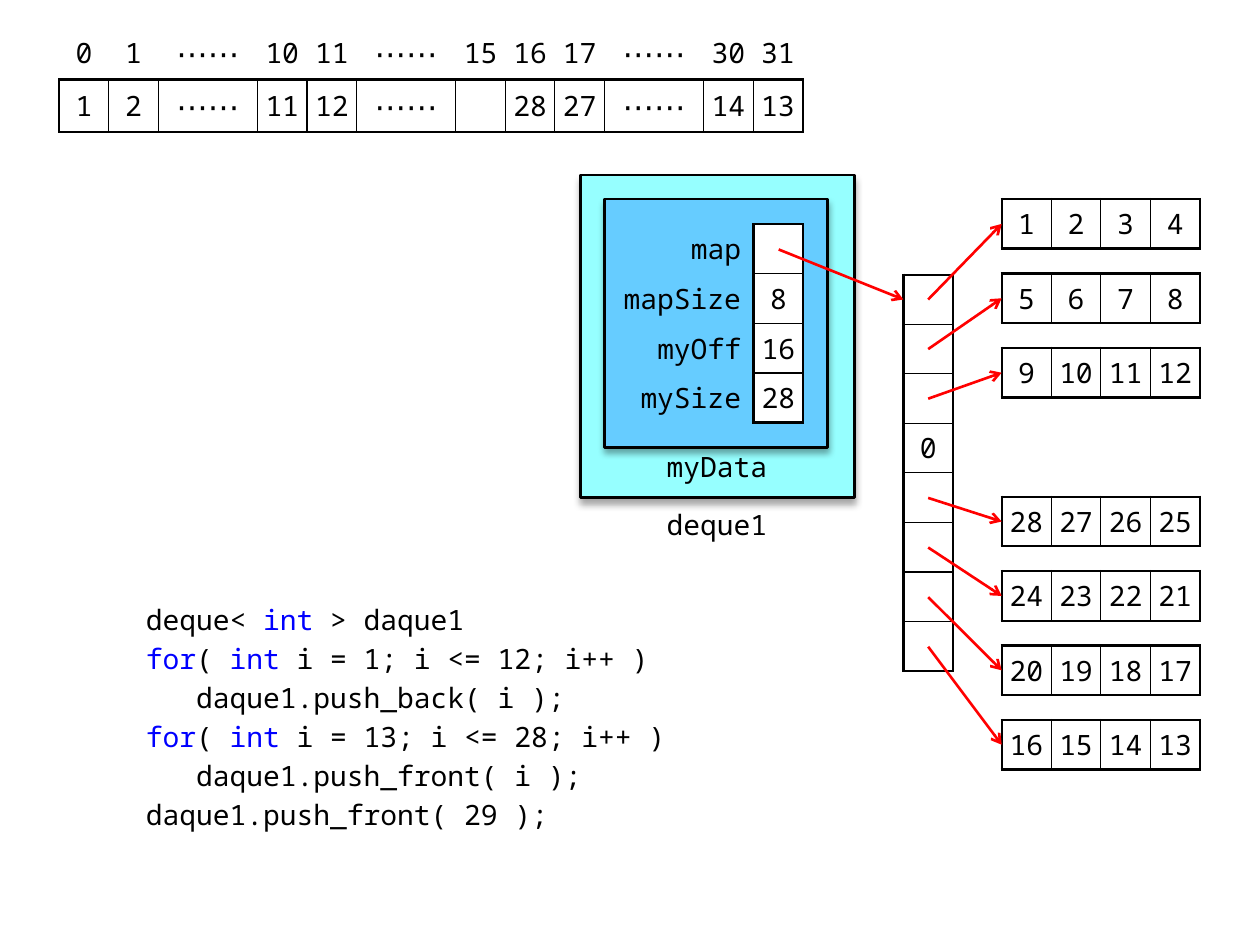
"""Build a slide that shows the memory layout of a deque of integers."""
from lxml import etree
from pptx import Presentation
from pptx.dml.color import RGBColor
from pptx.enum.shapes import MSO_CONNECTOR, MSO_SHAPE
from pptx.enum.text import MSO_ANCHOR, PP_ALIGN
from pptx.oxml.ns import qn
from pptx.util import Inches, Pt

BLACK = RGBColor(0x00, 0x00, 0x00)
WHITE = RGBColor(0xFF, 0xFF, 0xFF)
RED = RGBColor(0xFF, 0x00, 0x00)
BLUE = RGBColor(0x00, 0x00, 0xFF)
CYAN = RGBColor(0x96, 0xFF, 0xFF)
SKY = RGBColor(0x66, 0xCC, 0xFF)
LEFT, CENTER, RIGHT = PP_ALIGN.LEFT, PP_ALIGN.CENTER, PP_ALIGN.RIGHT
TOP, MIDDLE = MSO_ANCHOR.TOP, MSO_ANCHOR.MIDDLE
PROCESS = MSO_SHAPE.FLOWCHART_PROCESS
STRAIGHT = MSO_CONNECTOR.STRAIGHT
FONT = "Noto Sans Mono"
KEYWORDS = ("for", "int")
DOTS = "⋯⋯"
NO_STYLE = "{2D5ABB26-0587-4C30-8999-92F81FD0307C}"
CELL = 1 / 2.54
BLOCK_STEP = 1.5 * CELL
MAP_LEFT, MAP_TOP = 7.17, 2.18
BLOCK_LEFT, BLOCK_TOP = 7.95, 1.58

presentation = Presentation()
presentation.slide_width = Inches(10)
presentation.slide_height = Inches(7.5)
slide = presentation.slides.add_slide(presentation.slide_layouts[6])


def write_text(frame, lines, align=CENTER, before=0, spacing=None):
    """Write lines of text segments, with code keywords in blue."""
    for index, segments in enumerate(lines):
        paragraph = frame.add_paragraph() if index else frame.paragraphs[0]
        paragraph.alignment = align
        paragraph.space_before = Pt(before)
        if spacing:
            paragraph.line_spacing = Pt(spacing)
        for segment in segments:
            run = paragraph.add_run()
            run.text = segment
            run.font.name = FONT
            run.font.size = Pt(18 if segment == DOTS else 16)
            run.font.color.rgb = BLUE if segment in KEYWORDS else BLACK
            properties = run._r.get_or_add_rPr()
            for tag in ("a:ea", "a:cs"):
                etree.SubElement(properties, qn(tag), typeface=FONT)


def add_grid(left, top, rows, widths, first_row=0, first_column=0):
    """Add a table whose cells are boxed from the given row and column on."""
    frame = slide.shapes.add_table(
        len(rows), len(widths), Inches(left), Inches(top),
        Inches(sum(widths) * CELL), Inches(len(rows) * CELL))
    table = frame.table
    table.first_row = table.horz_banding = False
    table._tbl.tblPr.find(qn("a:tableStyleId")).text = NO_STYLE
    for column, width in zip(table.columns, widths):
        column.width = Inches(width * CELL)
    for y, values in enumerate(rows):
        table.rows[y].height = Inches(CELL)
        for x, value in enumerate(values):
            cell = table.cell(y, x)
            label = x < first_column
            cell.vertical_anchor = MIDDLE
            cell.margin_left = cell.margin_right = Inches(0.1 if label else 0.04)
            cell.margin_top = cell.margin_bottom = Inches(0.04)
            if value != "":
                write_text(cell.text_frame, [[str(value)]],
                           align=RIGHT if label else CENTER)
            if label or y < first_row:
                cell.fill.background()
                continue
            edges = {"a:lnL": x == first_column, "a:lnR": x == len(widths) - 1,
                     "a:lnT": y == first_row, "a:lnB": y == len(rows) - 1}
            properties = cell._tc.get_or_add_tcPr()
            for tag, outer in edges.items():
                border = etree.SubElement(properties, qn(tag),
                                          w=str(Pt(1.5 if outer else 0.75)))
                fill = etree.SubElement(border, qn("a:solidFill"))
                etree.SubElement(fill, qn("a:srgbClr"), val=str(BLACK))
            cell.fill.solid()
            cell.fill.fore_color.rgb = WHITE


add_grid(0.47, 0.21, [
    [0, 1, DOTS, 10, 11, DOTS, 15, 16, 17, DOTS, 30, 31],
    [1, 2, DOTS, 11, 12, DOTS, "", 28, 27, DOTS, 14, 13],
], [1, 1, 2, 1, 1, 2, 1, 1, 1, 2, 1, 1], first_row=1)

boxes = [(4.61, 1.39, 2.17, 2.56, CYAN), (4.8, 1.58, 1.77, 1.97, SKY)]
for left, top, width, height, color in boxes:
    box = slide.shapes.add_shape(
        PROCESS, Inches(left), Inches(top), Inches(width), Inches(height))
    box.fill.solid()
    box.fill.fore_color.rgb = color
    box.line.color.rgb = BLACK
    box.line.width = Pt(1.5)
    effects = etree.SubElement(box._element.spPr, qn("a:effectLst"))
    shadow = etree.SubElement(effects, qn("a:outerShdw"), blurRad=str(Pt(4)),
                              dist=str(Pt(3)), dir="5400000", rotWithShape="0")
    shade = etree.SubElement(shadow, qn("a:srgbClr"), val=str(BLACK))
    etree.SubElement(shade, qn("a:alpha"), val="35000")

code = [
    ["deque< ", "int", " > daque1"],
    ["for", "( ", "int", " i = 1; i <= 12; i++ )"],
    ["   daque1.push_back( i );"],
    ["for", "( ", "int", " i = 13; i <= 28; i++ )"],
    ["   daque1.push_front( i );"],
    ["daque1.push_front( 29 );"],
]
texts = [
    (5, 3.95, 1.38, 0.39, [["deque1"]], MIDDLE, (0.08, 0.04, 0), {}),
    (5.2, 3.55, 0.98, 0.39, [["myData"]], TOP, (0.08, 0.02, 0), {}),
    (1.06, 4.73, 4.33, 2.36, code, TOP, (0.1, 0.05, 0.05),
     {"align": LEFT, "before": 3, "spacing": 19.3}),
]
for left, top, width, height, lines, anchor, margins, layout in texts:
    frame = slide.shapes.add_textbox(
        Inches(left), Inches(top), Inches(width), Inches(height)).text_frame
    frame.word_wrap = True
    frame.vertical_anchor = anchor
    side, above, below = margins
    frame.margin_left = frame.margin_right = Inches(side)
    frame.margin_top, frame.margin_bottom = Inches(above), Inches(below)
    write_text(frame, lines, **layout)

members = [["map", ""], ["mapSize", 8], ["myOff", 16], ["mySize", 28]]
add_grid(4.8, 1.78, members, [3, 1], first_column=1)

first_values = [1, 5, 9, None, 28, 24, 20, 16]
add_grid(MAP_LEFT, MAP_TOP,
         [["" if first else 0] for first in first_values], [1])

arrows = [(6.18, 1.98, MAP_LEFT, MAP_TOP + CELL / 2)]
for slot, first in enumerate(first_values):
    if first is None:
        continue
    block_top = BLOCK_TOP + slot * BLOCK_STEP
    step = 1 if first < 12 else -1
    add_grid(BLOCK_LEFT, block_top,
             [[first + step * offset for offset in range(4)]], [1] * 4)
    arrows.append((MAP_LEFT + CELL / 2, MAP_TOP + (slot + 0.5) * CELL,
                   BLOCK_LEFT, block_top + CELL / 2))

for ends in arrows:
    arrow = slide.shapes.add_connector(STRAIGHT, *map(Inches, ends))
    arrow.line.color.rgb = RED
    arrow.line.width = Pt(1.5)
    etree.SubElement(arrow.line._get_or_add_ln(), qn("a:tailEnd"), type="arrow")
    etree.SubElement(arrow._element.spPr, qn("a:effectLst"))

presentation.save("out.pptx")
